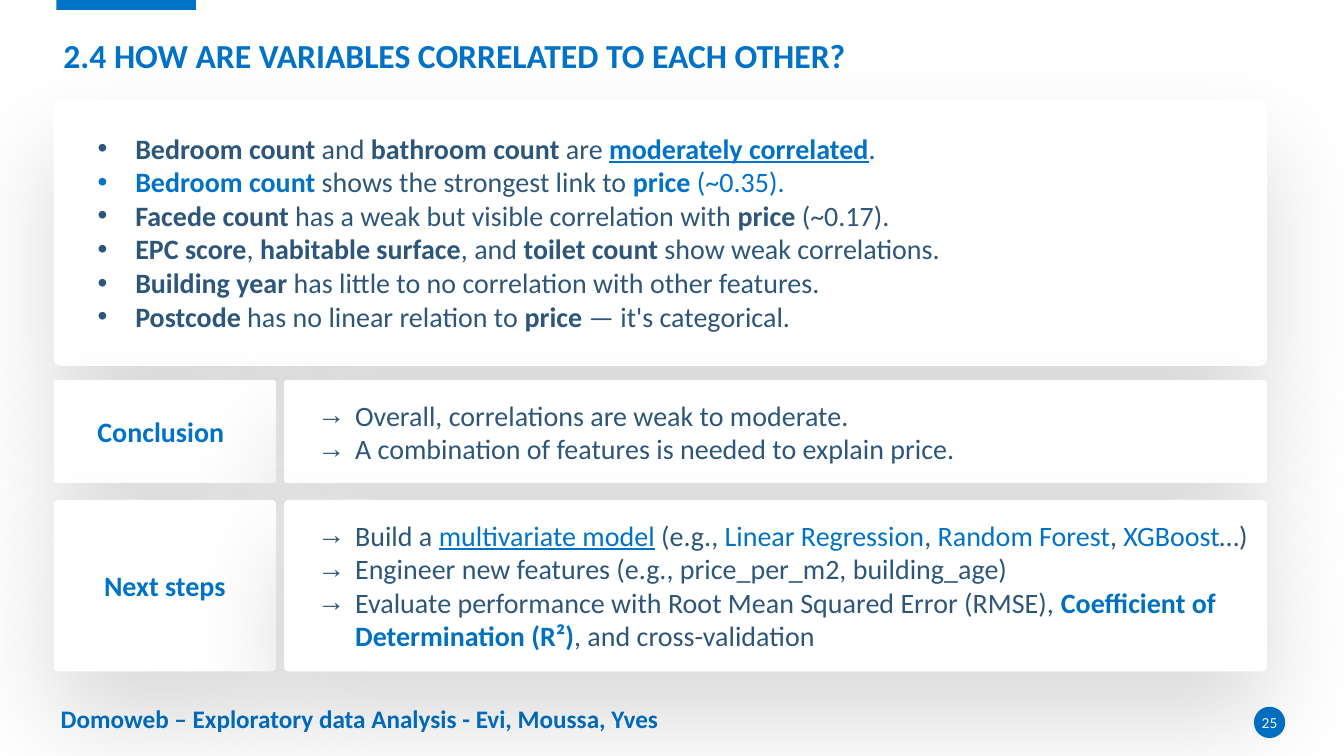
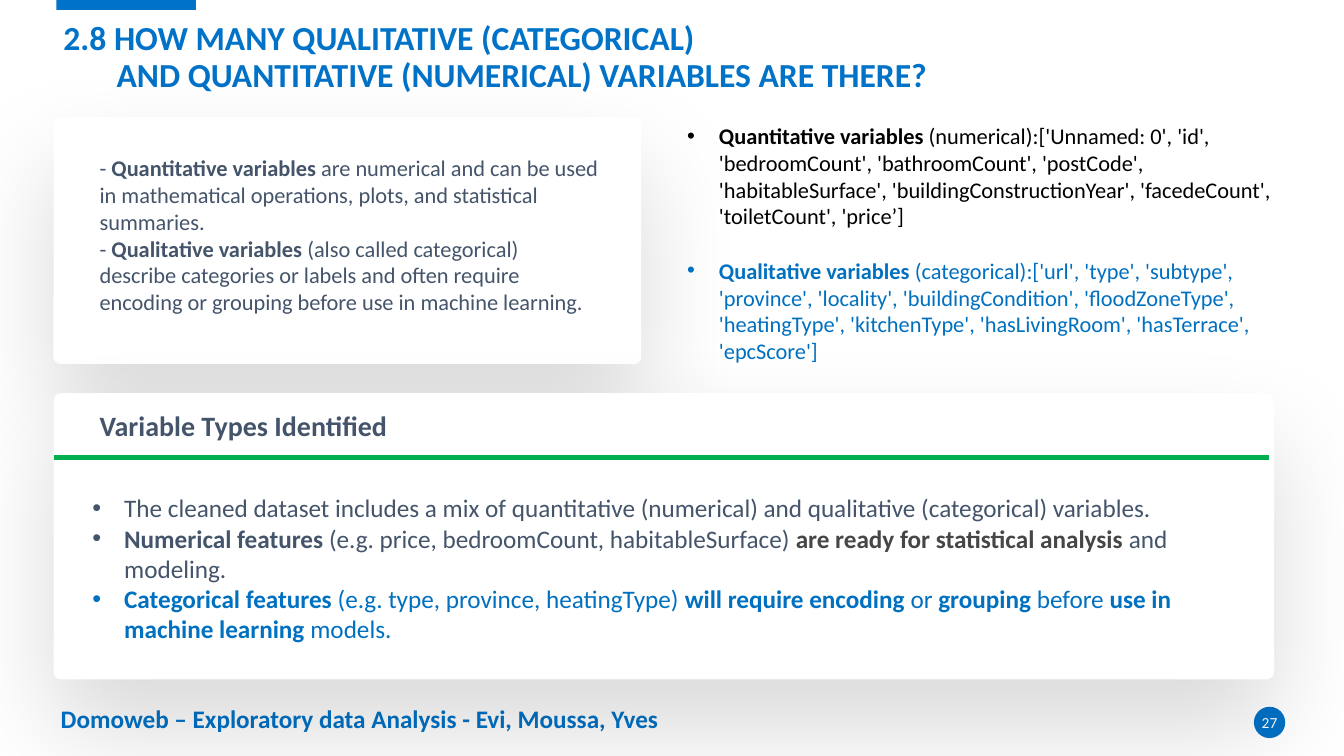
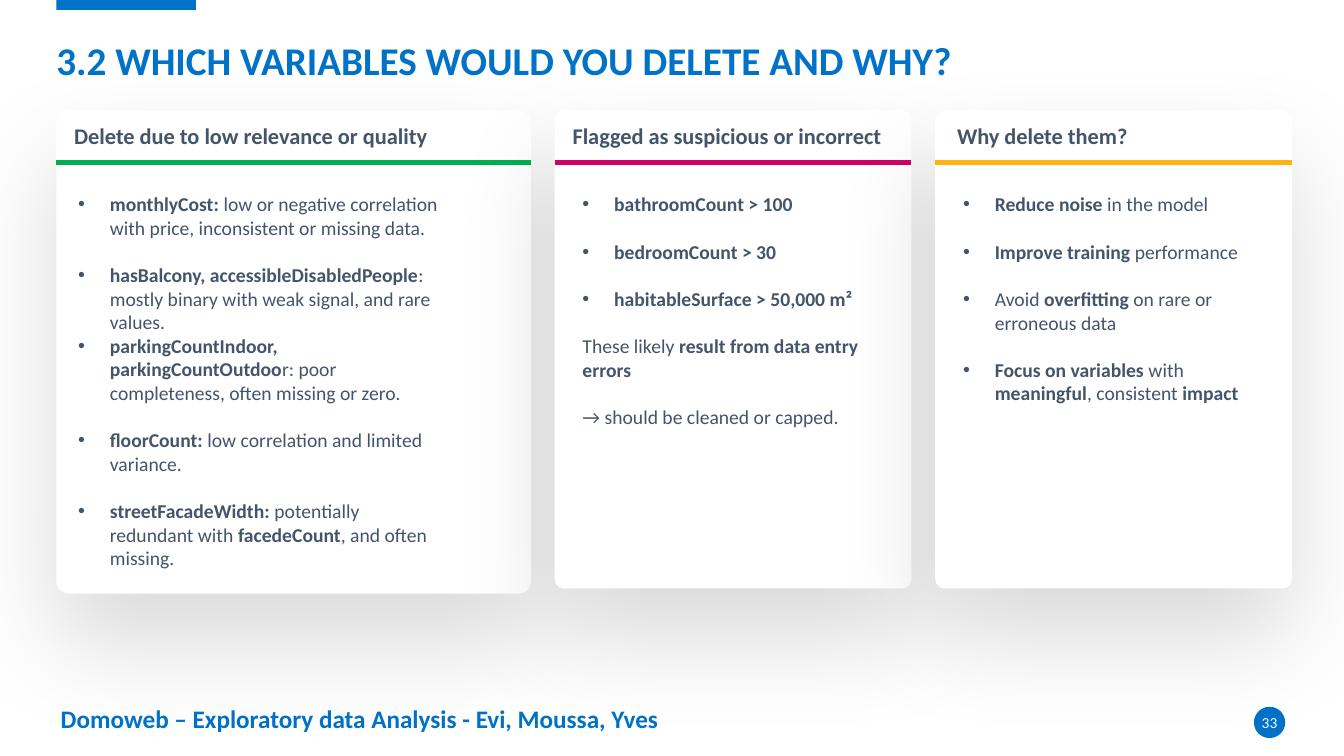
from dataclasses import dataclass
from itertools import groupby
from typing import NamedTuple, Optional

from lxml import etree
from pptx import Presentation
from pptx.dml.color import RGBColor
from pptx.enum.shapes import MSO_CONNECTOR, MSO_SHAPE
from pptx.enum.text import MSO_ANCHOR, PP_ALIGN
from pptx.oxml.ns import qn
from pptx.util import Cm, Pt

RECT, ROUND, OVAL = MSO_SHAPE.RECTANGLE, MSO_SHAPE.ROUNDED_RECTANGLE, MSO_SHAPE.OVAL
LINE = MSO_CONNECTOR.STRAIGHT
LEFT, MID = PP_ALIGN.LEFT, PP_ALIGN.CENTER
TOP, CORE = MSO_ANCHOR.TOP, MSO_ANCHOR.MIDDLE


# Theme: colours and type sizes
@dataclass(frozen=True)
class Theme:
    font: str = "Calibri"
    blue: str = "0072C7"
    deep: str = "0070C0"
    navy: str = "2C567A"
    slate: str = "44546A"
    grey: str = "464646"
    black: str = "000000"
    white: str = "FFFFFF"
    green: str = "00B050"
    pink: str = "CE0368"
    gold: str = "FFB310"
    title: int = 24
    large: int = 28
    head: int = 20
    body: int = 18
    text: int = 16
    small: int = 14
    tiny: int = 11


T = Theme()
FOOT = "Domoweb – Exploratory data Analysis - Evi, Moussa, Yves"

# Inline marks: * bold, | underline, the others switch colour
HUES = {"^": T.blue, "§": T.deep, "`": T.grey}
MARKS = "*|" + "".join(HUES)


class Box(NamedTuple):
    x: float
    y: float
    w: float
    h: float


class Para(NamedTuple):
    text: str
    mark: str = ""
    hang: float = 0.8
    gap: float = 0
    color: Optional[str] = None
    left: float = 0


class Row(NamedTuple):
    top: float
    high: float
    label: str
    shift: float
    paras: list[Para]


class Panel(NamedTuple):
    wide: float
    high: float
    color: str
    head: str
    inset: float
    start: float
    span: float
    paras: list[Para]


def dots(*texts: str, mark: str = "•", hang: float = 0.8, gap: float = 0) -> list[Para]:
    """Bulleted paragraphs with an equal gap between them."""
    return [Para(t, mark, hang, gap if i else 0) for i, t in enumerate(texts)]


# Text
def split(text: str) -> list[tuple[str, frozenset]]:
    """Cut marked text into pieces, each with its active marks."""
    live, chars = frozenset(), []
    for char in text:
        if char in MARKS:
            live = live ^ {char}
        else:
            chars.append((char, live))
    return [("".join(c for c, _ in part), key)
            for key, part in groupby(chars, lambda item: item[1])]


def bullet(para, mark: str, hang: float) -> None:
    props = para._p.get_or_add_pPr()
    props.set("marL", str(Cm(hang)))
    props.set("indent", str(-Cm(hang)))
    etree.SubElement(props, qn("a:buFont")).set("typeface", "Arial")
    etree.SubElement(props, qn("a:buChar")).set("char", mark)


def write(frame, paras: list[Para], size: int, color: str, bold: bool = False,
          align=LEFT, anchor=TOP, space: float = 1) -> None:
    frame.word_wrap = True
    frame.vertical_anchor = anchor
    for i, item in enumerate(paras):
        para = frame.add_paragraph() if i else frame.paragraphs[0]
        if item.mark:
            bullet(para, item.mark, item.hang)
        elif item.left:
            para._p.get_or_add_pPr().set("marL", str(Cm(item.left)))
        para.alignment = align
        para.line_spacing = space
        if item.gap:
            para.space_before = Pt(item.gap)
        for text, live in split(item.text):
            run = para.add_run()
            run.text = text
            font = run.font
            font.name, font.size = T.font, Pt(size)
            font.bold = bold or "*" in live
            font.underline = "|" in live
            hue = next((HUES[m] for m in live if m in HUES), item.color or color)
            font.color.rgb = RGBColor.from_string(hue)


def label(slide, box: Box, paras: list[Para], size: int, color: str, **style) -> None:
    frame = slide.shapes.add_textbox(*map(Cm, box)).text_frame
    write(frame, paras, size, color, **style)


# Shapes
def block(slide, kind, box: Box, color: str):
    shape = slide.shapes.add_shape(kind, *map(Cm, box))
    shape.shadow.inherit = False
    shape.fill.solid()
    shape.fill.fore_color.rgb = RGBColor.from_string(color)
    shape.line.fill.background()
    return shape


def card(slide, box: Box) -> None:
    """White rounded card with a wide soft shadow below."""
    shape = block(slide, ROUND, box, T.white)
    shape.adjustments[0] = 0.026
    glow = etree.SubElement(shape._element.spPr.find(qn("a:effectLst")), qn("a:outerShdw"),
                            blurRad=str(Pt(75)), dist=str(Pt(35)), dir="5400000",
                            algn="t", rotWithShape="0")
    tint = etree.SubElement(glow, qn("a:srgbClr"), val=T.black)
    etree.SubElement(tint, qn("a:alpha"), val="15000")


def rule(slide, x: float, y: float, wide: float, color: str) -> None:
    line = slide.shapes.add_connector(LINE, Cm(x), Cm(y), Cm(x + wide), Cm(y))
    line.line.color.rgb = RGBColor.from_string(color)
    line.line.width = Pt(4)
    etree.SubElement(line._element.spPr, qn("a:effectLst"))


def start(deck, page: int, lines: list[Para], box: Box, size: int = T.title):
    """New slide with the shared bar, footer, page number and title."""
    slide = deck.slides.add_slide(deck.slide_layouts[6])
    block(slide, RECT, Box(1.42, 0, 3.52, 0.25), T.blue)
    label(slide, Box(1.28, 17.6, 20.12, 1.02), [Para(FOOT)], T.body, T.blue, bold=True)
    frame = block(slide, OVAL, Box(31.6, 17.81, 0.79, 0.79), T.blue).text_frame
    frame.margin_left = frame.margin_right = frame.margin_top = frame.margin_bottom = 0
    write(frame, [Para(str(page))], T.tiny, T.white, align=MID, anchor=CORE)
    label(slide, box, lines, size, T.blue, bold=True, anchor=CORE, space=0.9)
    return slide


# Slide: correlations
FACTS = dots(
    "*Bedroom count* and *bathroom count* are ^*|moderately correlated|*^.",
    "^*Bedroom count*^ shows the strongest link to ^*price* (~0.35).^",
    "*Facede count* has a weak but visible correlation with *price* (~0.17).",
    "*EPC score*, *habitable surface*, and *toilet count* show weak correlations.",
    "*Building year* has little to no correlation with other features.",
    "*Postcode* has no linear relation to *price* — it's categorical.",
    hang=0.95)
ROWS = [
    Row(9.58, 2.59, "Conclusion", -0.1, dots(
        "Overall, correlations are weak to moderate.",
        "A combination of features is needed to explain price.",
        mark="→", hang=0.95)),
    Row(12.6, 4.32, "Next steps", 0, dots(
        "Build a ^|multivariate model|^ (e.g., ^Linear Regression^, ^Random Forest^, "
        "^XGBoost^…)",
        "Engineer new features (e.g., price_per_m2, building_age)",
        "Evaluate performance with Root Mean Squared Error (RMSE), "
        "§*Coefficient of Determination (R²)*§, and cross-validation",
        mark="→", hang=0.95)),
]


def links(deck) -> None:
    slide = start(deck, 25, [Para("2.4 HOW ARE VARIABLES CORRELATED TO EACH OTHER?")],
                  Box(1.35, 0.86, 31.19, 1.17))
    left, wide, side, gap, tall = 1.35, 30.58, 5.61, 0.2, 1.12
    card(slide, Box(left, 2.51, wide, 6.71))
    label(slide, Box(2.21, 3.18, 26.14, 5.38), FACTS, T.head, T.navy)
    main = left + side + gap
    for row in ROWS:
        card(slide, Box(left, row.top, side, row.high))
        label(slide, Box(left + row.shift, row.top + (row.high - tall) / 2, side, tall),
              [Para(row.label)], T.head, T.blue, bold=True, align=MID)
        card(slide, Box(main, row.top, wide - side - gap, row.high))
        label(slide, Box(main + 0.59, row.top + 0.33, 24.18, row.high - 0.66),
              row.paras, T.head, T.navy)


# Slide: variable types
KINDS = [
    Para("- *Quantitative variables* are numerical and can be used in mathematical "
         "operations, plots, and statistical summaries."),
    Para("- *Qualitative variables* (also called categorical) describe categories or "
         "labels and often require encoding or grouping before use in machine learning."),
]
NAMES = [
    Para("*Quantitative variables* (numerical):['Unnamed: 0', 'id', 'bedroomCount', "
         "'bathroomCount', 'postCode', 'habitableSurface', 'buildingConstructionYear', "
         "'facedeCount', 'toiletCount', 'price’]", "•"),
    Para("*Qualitative variables* (categorical):['url', 'type', 'subtype', 'province', "
         "'locality', 'buildingCondition', 'floodZoneType', 'heatingType', 'kitchenType', "
         "'hasLivingRoom', 'hasTerrace', 'epcScore']", "•", gap=19.5, color=T.deep),
]
FOUND = [
    Para("The cleaned dataset includes a mix of quantitative (numerical) and qualitative "
         "(categorical) variables.", "•"),
    Para("*Numerical features* (e.g. price, bedroomCount, habitableSurface) "
         "`*are ready for statistical analysis*` and modeling.", "•"),
    Para("*Categorical features* (e.g. type, province, heatingType) *will require encoding* "
         "or *grouping* before *use in machine learning* models.", "•", color=T.deep),
]


def types(deck) -> None:
    lines = [Para("2.8 HOW MANY QUALITATIVE (CATEGORICAL)"),
             Para("AND QUANTITATIVE (NUMERICAL) VARIABLES ARE THERE?", left=1.34)]
    slide = start(deck, 27, lines, Box(1.35, 0.41, 31.19, 2.11))
    card(slide, Box(1.35, 2.95, 14.81, 6.22))
    label(slide, Box(2.26, 3.76, 13.08, 4.37), KINDS, T.text, T.slate)
    label(slide, Box(17.07, 2.95, 15.47, 6.4), NAMES, T.text, T.black)
    card(slide, Box(1.35, 9.91, 30.76, 7.21))
    rule(slide, 1.35, 11.53, 30.63, T.green)
    label(slide, Box(2.26, 10.16, 9.42, 1.12), [Para("Variable Types Identified")],
          T.head, T.slate, bold=True)
    label(slide, Box(2.08, 12.29, 28.68, 4.11), FOUND, T.body, T.slate)


# Slide: variables to delete
PANELS = [
    Panel(11.96, 12.17, T.green, "Delete due to low relevance or quality", 0.2, 0.3, 9.6, [
        Para("*monthlyCost:* low or negative correlation with price, inconsistent or "
             "missing data.", "•"),
        Para("*hasBalcony, accessibleDisabledPeople*: mostly binary with weak signal, "
             "and rare values.", "•", gap=17),
        Para("*parkingCountIndoor, parkingCountOutdoo*r: poor completeness, often missing "
             "or zero.", "•"),
        Para("*floorCount:* low correlation and limited variance.", "•", gap=17),
        Para("*streetFacadeWidth:* potentially redundant with *facedeCount*, and often "
             "missing.", "•", gap=17),
    ]),
    Panel(8.99, 12.04, T.pink, "Flagged as suspicious or incorrect", 0.2, 0.45, 7.52, [
        *dots("*bathroomCount > 100*", "*bedroomCount > 30*",
              "*habitableSurface > 50,000 m²*", gap=17),
        Para("These likely *result from data entry errors*", gap=17),
        Para("→ should be cleaned or capped.", gap=17),
    ]),
    Panel(8.99, 12.04, T.gold, "Why delete them?", 0.3, 0.45, 7.52, dots(
        "*Reduce noise* in the model",
        "*Improve training* performance",
        "Avoid *overfitting* on rare or erroneous data",
        "*Focus on variables* with *meaningful*, consistent *impact*", gap=17)),
]


def drops(deck) -> None:
    slide = start(deck, 33, [Para("3.2 WHICH VARIABLES WOULD YOU DELETE AND WHY?")],
                  Box(1.17, 0.86, 31.19, 1.42), T.large)
    x, top, gap = 1.42, 2.79, 0.6
    for item in PANELS:
        card(slide, Box(x, top, item.wide, item.high))
        rule(slide, x, top + 1.3, item.wide, item.color)
        label(slide, Box(x + item.inset, top + 0.16, item.wide - 0.6, 0.94),
              [Para(item.head)], T.text, T.slate, bold=True)
        label(slide, Box(x + item.start, top + 1.93, item.span, 9.83),
              item.paras, T.small, T.slate)
        x += item.wide + gap


def main() -> None:
    deck = Presentation()
    deck.slide_width, deck.slide_height = Cm(33.87), Cm(19.05)
    for build in (links, types, drops):
        build(deck)
    deck.save("out.pptx")


if __name__ == "__main__":
    main()
